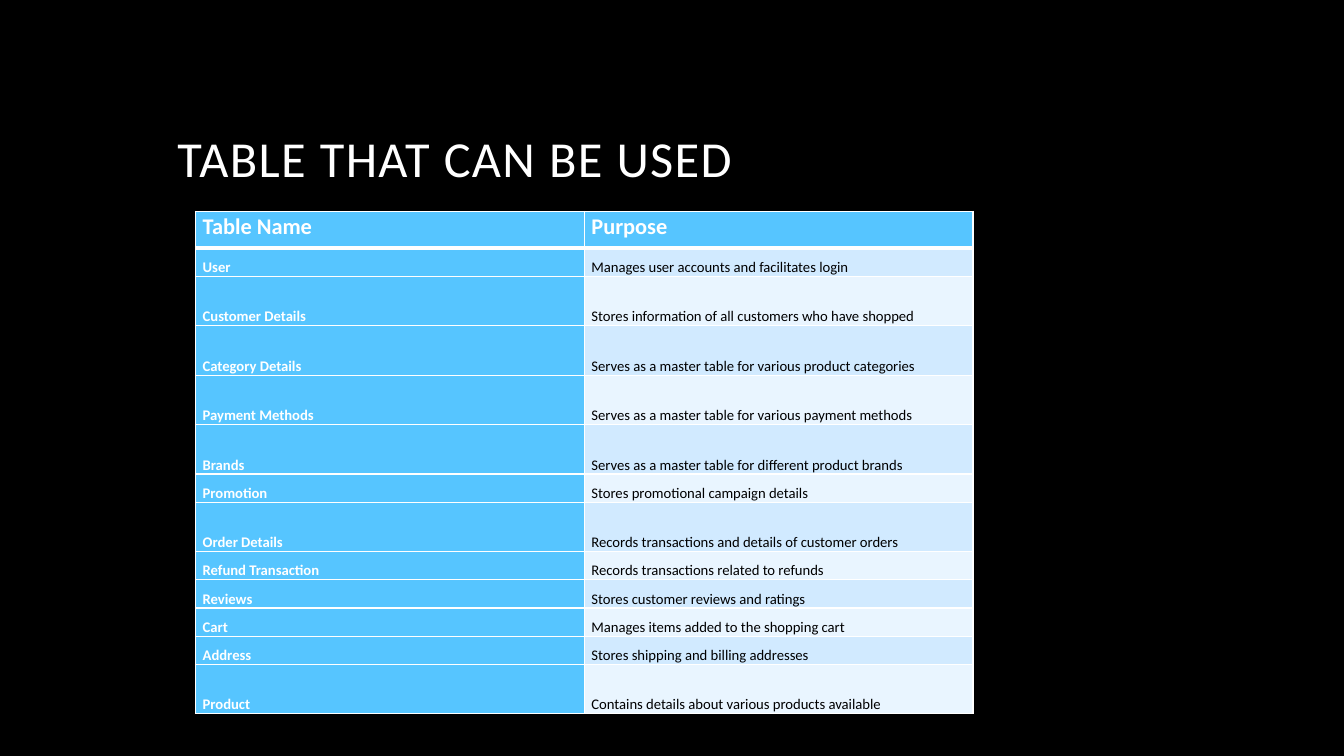
from typing import Any, NamedTuple

from pptx import Presentation
from pptx.dml.color import RGBColor
from pptx.enum.text import MSO_ANCHOR, MSO_AUTO_SIZE, PP_ALIGN
from pptx.oxml.ns import qn
from pptx.util import Pt
from lxml import etree

TOP, BOTTOM = MSO_ANCHOR.TOP, MSO_ANCHOR.BOTTOM
LEFT = PP_ALIGN.LEFT
NO_AUTOFIT = MSO_AUTO_SIZE.NONE

BLACK = RGBColor(0x00, 0x00, 0x00)
WHITE = RGBColor(0xFF, 0xFF, 0xFF)
BLUE = RGBColor(0x56, 0xC5, 0xFF)
BANDS = (RGBColor(0xD1, 0xEA, 0xFF), RGBColor(0xE9, 0xF5, 0xFF))

FONT = "Calibri"
HEADER_H, SHORT_H, TALL_H = Pt(26.3), Pt(20.15), Pt(35.3)
COLUMN_W = Pt(277.7)
THIN, THICK = Pt(1), Pt(3)


class Row(NamedTuple):
    name: str
    purpose: str
    height: int = TALL_H


ROWS = [
    Row("Table Name", "Purpose", HEADER_H),
    Row("User", "Manages user accounts and facilitates login", SHORT_H),
    Row("Customer Details", "Stores information of all customers who have shopped"),
    Row("Category Details", "Serves as a master table for various product categories"),
    Row("Payment Methods", "Serves as a master table for various payment methods"),
    Row("Brands", "Serves as a master table for different product brands"),
    Row("Promotion", "Stores promotional campaign details", SHORT_H),
    Row("Order Details", "Records transactions and details of customer orders"),
    Row("Refund Transaction", "Records transactions related to refunds", SHORT_H),
    Row("Reviews", "Stores customer reviews and ratings", SHORT_H),
    Row("Cart", "Manages items added to the shopping cart", SHORT_H),
    Row("Address", "Stores shipping and billing addresses", SHORT_H),
    Row("Product", "Contains details about various products available"),
]


def set_attrs(target: Any, values: dict[str, Any]) -> None:
    for name, value in values.items():
        setattr(target, name, value)


def write(tf: Any, text: str, paragraph: dict[str, Any],
          size: float, color: RGBColor, bold: bool = False) -> Any:
    """Fill the first paragraph with one formatted run and return the run."""
    p = tf.paragraphs[0]
    set_attrs(p, paragraph)
    r = p.add_run()
    r.text = text
    set_attrs(r.font, {"name": FONT, "size": Pt(size), "bold": bold})
    r.font.color.rgb = color
    return r


def add_borders(cell: Any, top: int, bottom: int) -> None:
    """Add white cell lines; call before the fill, which must follow them."""
    tc_pr = cell._tc.get_or_add_tcPr()
    widths = {"a:lnL": THIN, "a:lnR": THIN, "a:lnT": top, "a:lnB": bottom}
    for tag, width in widths.items():
        line = etree.SubElement(tc_pr, qn(tag), w=str(int(width)))
        fill = etree.SubElement(line, qn("a:solidFill"))
        etree.SubElement(fill, qn("a:srgbClr"), val=str(WHITE))


def add_title(slide: Any) -> None:
    sp = slide.shapes.title
    set_attrs(sp, {"left": Pt(119.5), "top": Pt(30), "width": Pt(720), "height": Pt(108)})
    tf = sp.text_frame
    set_attrs(tf, {"word_wrap": True, "auto_size": NO_AUTOFIT, "vertical_anchor": BOTTOM})
    r = write(tf, "TABLE THAT CAN BE USED",
              {"alignment": LEFT, "line_spacing": 0.9}, 36, WHITE)
    r.font._element.set("spc", "100")


def add_purpose_table(slide: Any) -> None:
    height = sum(row.height for row in ROWS)
    table = slide.shapes.add_table(
        len(ROWS), 2, Pt(139.6), Pt(151), 2 * COLUMN_W, height).table
    table.first_col = True
    for column in table.columns:
        column.width = COLUMN_W
    for i, row in enumerate(ROWS):
        table.rows[i].height = row.height
        is_header = i == 0
        for j, text in enumerate((row.name, row.purpose)):
            is_heading = is_header or j == 0
            cell = table.cell(i, j)
            set_attrs(cell, {"margin_left": Pt(5.2), "margin_right": Pt(5.2),
                             "margin_top": 0, "margin_bottom": 0,
                             "vertical_anchor": TOP if is_header else BOTTOM})
            add_borders(cell, THICK if i == 1 else THIN, THICK if is_header else THIN)
            cell.fill.solid()
            cell.fill.fore_color.rgb = BLUE if is_heading else BANDS[(i - 1) % 2]
            write(cell.text_frame, text, {"line_spacing": 1.07, "space_after": Pt(8)},
                  16 if is_header else 10.5, WHITE if is_heading else BLACK, is_heading)


def main() -> None:
    prs = Presentation()
    set_attrs(prs, {"slide_width": Pt(960), "slide_height": Pt(540)})
    slide = prs.slides.add_slide(prs.slide_layouts[5])
    slide.background.fill.solid()
    slide.background.fill.fore_color.rgb = BLACK
    add_title(slide)
    add_purpose_table(slide)
    prs.save("out.pptx")


if __name__ == "__main__":
    main()
